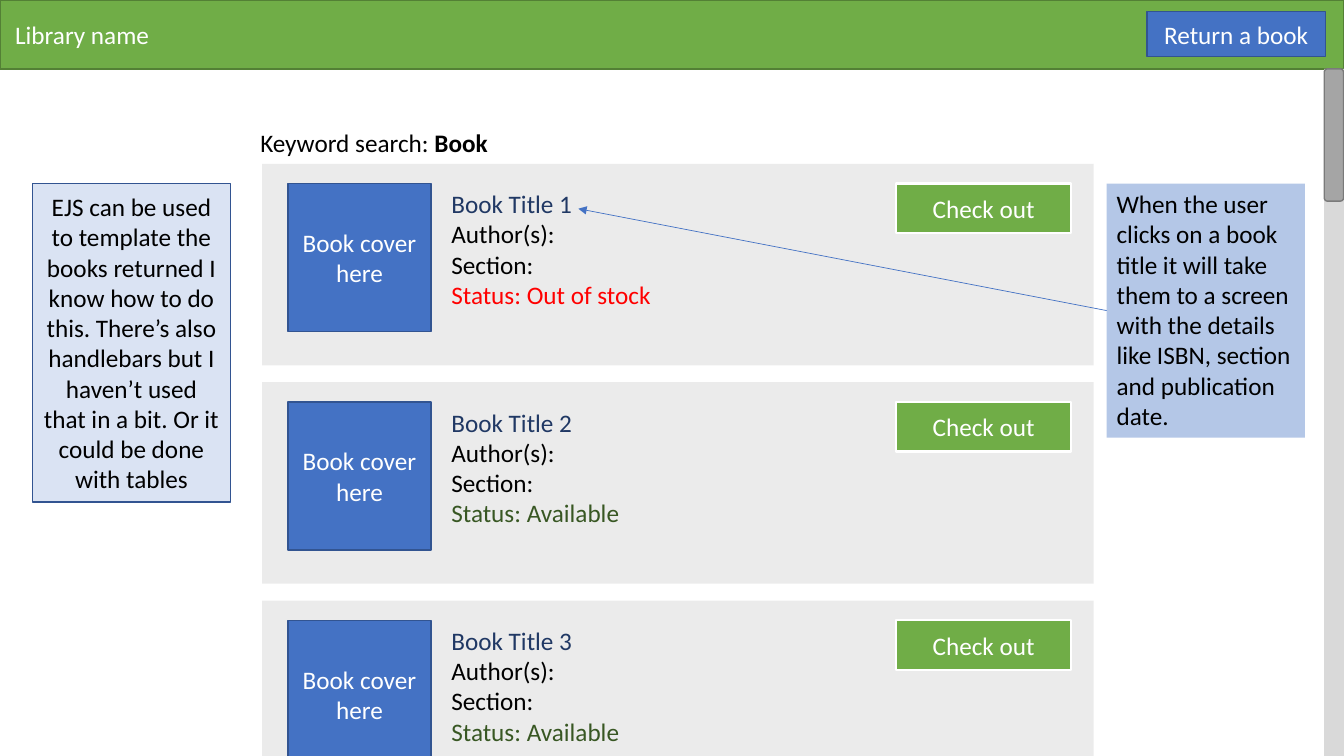
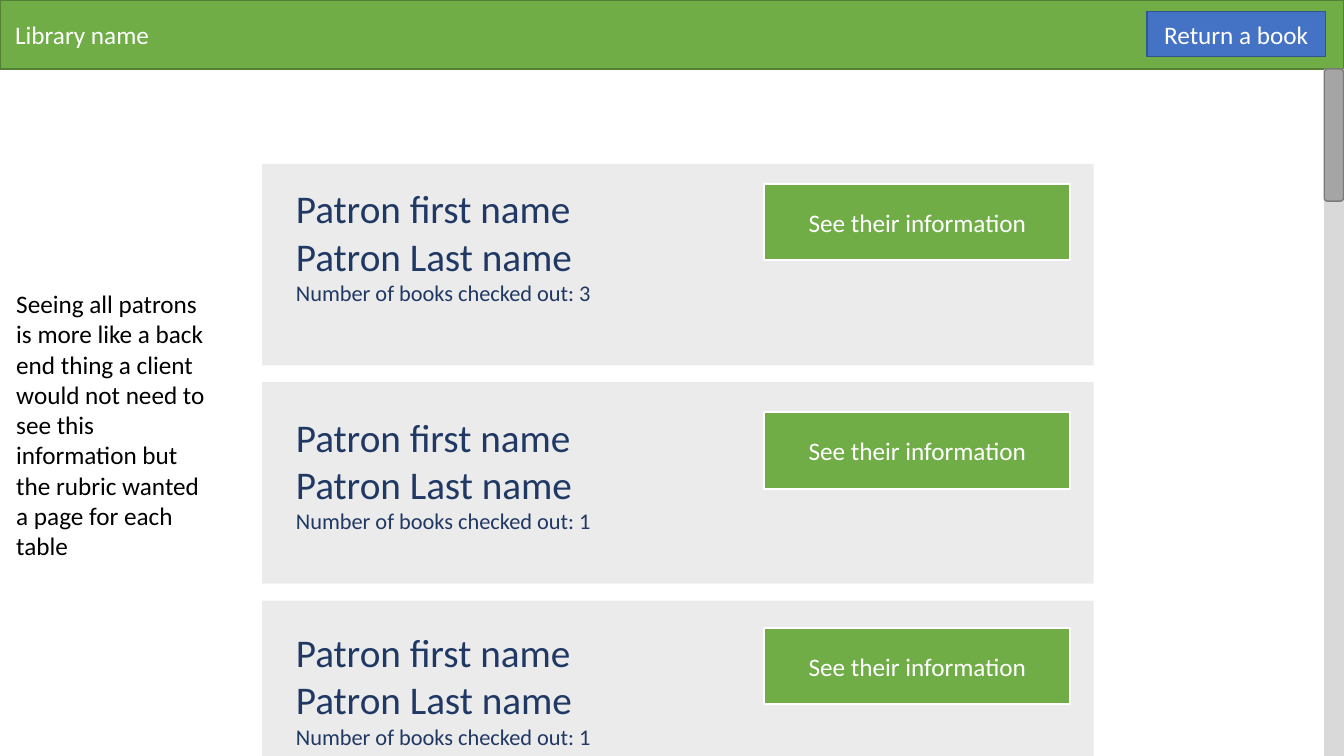
from dataclasses import dataclass
from typing import NamedTuple, Optional

from lxml.etree import SubElement
from pptx import Presentation
from pptx.dml.color import RGBColor
from pptx.enum.shapes import MSO_CONNECTOR as Connector, MSO_SHAPE as Preset
from pptx.enum.text import MSO_ANCHOR as Anchor, PP_ALIGN as Align
from pptx.oxml.ns import qn
from pptx.util import Emu, Inches, Pt

COLUMNS, ROWS = 160, 90
CELL = Inches(7.5) / ROWS


@dataclass(frozen=True)
class Theme:
    font: str = "Calibri"
    body: float = 18
    name: float = 28
    small: float = 16
    white: str = "FFFFFF"
    black: str = "000000"
    green: str = "70AD47"
    green_edge: str = "538035"
    blue: str = "4472C4"
    blue_edge: str = "325491"
    navy: str = "203864"
    pale_blue: str = "DAE3F3"
    light_blue: str = "B4C7E7"
    gray: str = "D9D9D9"
    thumb: str = "A5A5A5"
    thumb_edge: str = "7A7A7A"
    alert: str = "FF0000"
    available: str = "385723"


THEME = Theme()


class Box(NamedTuple):
    """Left, top, width and height in grid columns and rows."""
    left: float
    top: float
    width: float
    height: float

    def lengths(self):
        return [cells(value) for value in self]


class Run(NamedTuple):
    text: str
    color: str = THEME.black
    size: float = THEME.body
    bold: bool = False


class Book(NamedTuple):
    title: str
    status: str
    status_color: str


class Patron(NamedTuple):
    top: float
    checked_out: int


CARD = Box(31.2, 19.5, 99, 24)
CARD_PITCH = 26
CARD_COUNT = 3
NOTE_TOP, NOTE_WIDTH = 21.85, 23.6

BOOKS = (
    Book("Book Title 1", "Out of stock", THEME.alert),
    Book("Book Title 2", "Available", THEME.available),
    Book("Book Title 3", "Available", THEME.available),
)
PATRONS = (Patron(21.4, 3), Patron(48.6, 1), Patron(74.25, 1))


def cells(count: float) -> Emu:
    return Emu(round(count * CELL))


def rgb(color: str) -> RGBColor:
    return RGBColor.from_string(color)


def write(shape, *paragraphs, align=Align.LEFT, anchor=Anchor.TOP, inset: float = 0.1) -> None:
    """Fill the shape with paragraphs, each a sequence of runs."""
    frame = shape.text_frame
    frame.word_wrap = True
    frame.vertical_anchor = anchor
    frame.margin_left = Inches(inset)
    for index, runs in enumerate(paragraphs):
        paragraph = frame.add_paragraph() if index else frame.paragraphs[0]
        paragraph.alignment = align
        for item in runs:
            run = paragraph.add_run()
            run.text = item.text
            run.font.name = THEME.font
            run.font.size = Pt(item.size)
            run.font.bold = item.bold
            run.font.color.rgb = rgb(item.color)


def add_text(slide, box: Box, *paragraphs) -> None:
    write(slide.shapes.add_textbox(*box.lengths()), *paragraphs)


def add_block(slide, box: Box, fill: str, edge: Optional[str] = None, edge_width: float = 1,
              preset=Preset.RECTANGLE, opacity: int = 100):
    shape = slide.shapes.add_shape(preset, *box.lengths())
    shape.shadow.inherit = False
    shape.fill.solid()
    shape.fill.fore_color.rgb = rgb(fill)
    if opacity < 100:
        color = shape.fill._xPr.find(".//" + qn("a:srgbClr"))
        SubElement(color, qn("a:alpha"), val=str(opacity * 1000))
    if edge:
        shape.line.color.rgb = rgb(edge)
        shape.line.width = Pt(edge_width)
    else:
        shape.line.fill.background()
    return shape


def add_label(slide, box: Box, text: str, fill: str = THEME.blue, edge: str = THEME.blue_edge,
              edge_width: float = 1, color: str = THEME.white) -> None:
    """Draw an outlined block with centred text."""
    block = add_block(slide, box, fill, edge, edge_width)
    write(block, [Run(text, color)], align=Align.CENTER, anchor=Anchor.MIDDLE)


def add_green_button(slide, box: Box, text: str) -> None:
    add_label(slide, box, text, THEME.green, THEME.white, 1.5)


def add_arrow(slide, source, side: int, end_column: float, end_row: float) -> None:
    arrow = slide.shapes.add_connector(Connector.STRAIGHT, 0, 0, cells(end_column), cells(end_row))
    arrow.begin_connect(source, side)
    arrow.line.color.rgb = rgb(THEME.blue)
    arrow.line.width = Pt(0.5)
    SubElement(arrow.line._get_or_add_ln(), qn("a:tailEnd"), type="triangle")
    SubElement(arrow._element.spPr, qn("a:effectLst"))


def add_page(presentation):
    """Add a slide with the header, scroll bar and empty cards."""
    slide = presentation.slides.add_slide(presentation.slide_layouts[6])
    header_height, scroll_left = 8.2, 157.65
    header = add_block(slide, Box(0, 0, COLUMNS, header_height), THEME.green, THEME.green_edge)
    write(header, [Run("Library name", THEME.white)], anchor=Anchor.MIDDLE, inset=0.15)
    add_label(slide, Box(136.55, 1.4, 21.25, 5.3), "Return a book")
    add_block(slide, Box(scroll_left, header_height, COLUMNS - scroll_left, ROWS - header_height),
              THEME.gray)
    add_block(slide, Box(scroll_left, header_height, 2.3, 15.75), THEME.thumb, THEME.thumb_edge,
              preset=Preset.ROUNDED_RECTANGLE)
    for index in range(CARD_COUNT):
        add_block(slide, CARD._replace(top=CARD.top + index * CARD_PITCH), THEME.gray, opacity=50)
    return slide


def add_book(slide, book: Book, card_top: float) -> None:
    top = card_top + 2.35
    add_label(slide, Box(34.3, top, 17, 17.65), "Book cover here")
    add_text(slide, Box(52.55, top, 28.9, 15.7),
             [Run(book.title, THEME.navy)], [Run("Author(s):")], [Run("Section:")],
             [Run(f"Status: {book.status}", book.status_color)])
    add_green_button(slide, Box(106.7, top, 20.8, 5.9), "Check out")


def add_patron(slide, patron: Patron) -> None:
    add_text(slide, Box(34.05, patron.top, 50.9, 15.7),
             [Run("Patron first name", THEME.navy, THEME.name)],
             [Run("Patron Last name", THEME.navy, THEME.name)],
             [Run(f"Number of books checked out: {patron.checked_out}", THEME.navy, THEME.small)])
    add_green_button(slide, Box(91, patron.top + 0.5, 36.4, 9.1), "See their information")


def build_search_page(presentation) -> None:
    slide = add_page(presentation)
    add_text(slide, Box(29.8, 14.6, 39, 4.8), [Run("Keyword search: "), Run("Book", bold=True)])
    for index, book in enumerate(BOOKS):
        add_book(slide, book, CARD.top + index * CARD_PITCH)
    add_label(slide, Box(3.85, NOTE_TOP, NOTE_WIDTH, 37.9),
              "EJS can be used to template the books returned I know how to do this. "
              "There’s also handlebars but I haven’t used that in a bit. "
              "Or it could be done with tables",
              THEME.pale_blue, color=THEME.black)
    title_note = add_block(slide, Box(131.75, NOTE_TOP, NOTE_WIDTH, 30.25), THEME.light_blue)
    write(title_note, [Run("When the user clicks on a book title it will take them to a screen "
                           "with the details like ISBN, section and publication date.")])
    add_arrow(slide, title_note, 1, 68.85, 24.85)


def build_patron_page(presentation) -> None:
    slide = add_page(presentation)
    for patron in PATRONS:
        add_patron(slide, patron)
    add_text(slide, Box(0.75, 33.75, 25.8, 34),
             [Run("Seeing all patrons is more like a back end thing a client would not need "
                  "to see this information but the rubric wanted a page for each table")])


def main() -> None:
    presentation = Presentation()
    presentation.slide_width = cells(COLUMNS)
    presentation.slide_height = cells(ROWS)
    build_search_page(presentation)
    build_patron_page(presentation)
    presentation.save("out.pptx")


if __name__ == "__main__":
    main()
